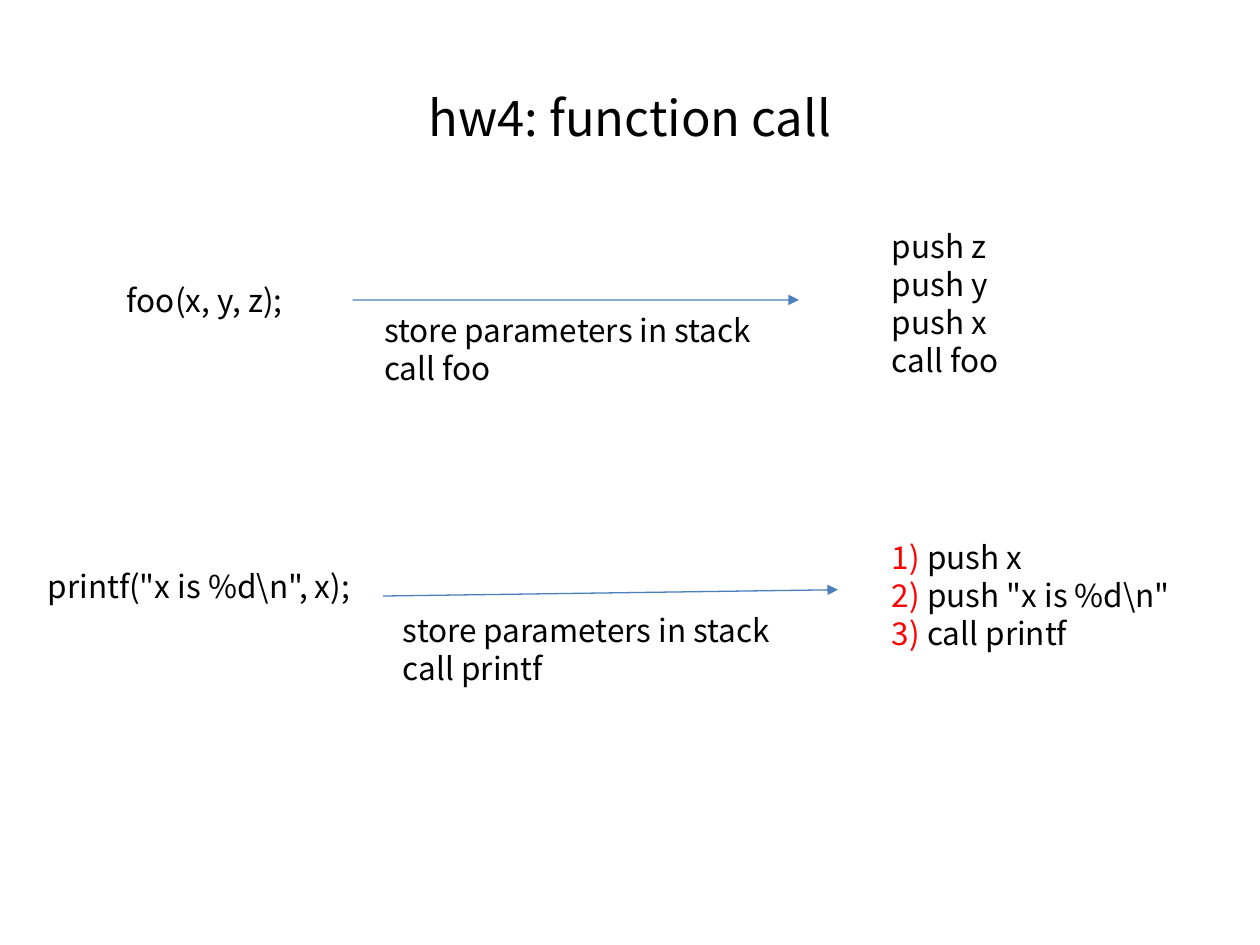
"""Build a slide that shows how function calls become stack pushes."""
from dataclasses import dataclass

from lxml.etree import SubElement
from pptx import Presentation
from pptx.dml.color import RGBColor
from pptx.enum.shapes import MSO_CONNECTOR
from pptx.enum.text import MSO_ANCHOR, PP_ALIGN
from pptx.oxml.ns import qn
from pptx.util import Pt


@dataclass(frozen=True)
class Theme:
    font: str = "Noto Sans CJK KR"
    title_size: int = 28
    body_size: int = 18
    line_pitch: float = 21.7
    text: RGBColor = RGBColor(0, 0, 0)
    number: RGBColor = RGBColor(255, 0, 0)
    arrow: RGBColor = RGBColor(0x4B, 0x7E, 0xBC)


theme = Theme()


def style(span, size, color):
    span.font.name = theme.font
    span.font.size = Pt(size)
    span.font.color.rgb = color


def add_lines(page, left, top, width, lines, numbered=False):
    height = 7.2 + theme.line_pitch * len(lines)
    box = page.shapes.add_textbox(Pt(left), Pt(top), Pt(width), Pt(height))
    frame = box.text_frame
    frame.word_wrap = True
    frame.text = "\n".join("" if numbered else line for line in lines)
    for number, (para, line) in enumerate(zip(frame.paragraphs, lines), 1):
        para.line_spacing = Pt(theme.line_pitch)
        if numbered:
            para.add_run().text = f"{number})"
            para.add_run().text = f" {line}"
        for span in para.runs:
            style(span, theme.body_size, theme.text)
        if numbered:
            para.runs[0].font.color.rgb = theme.number
    return box


deck = Presentation()
deck.slide_width, deck.slide_height = Pt(720), Pt(540)
page = deck.slides.add_slide(deck.slide_layouts[5])

title = page.shapes.title
title.left, title.top, title.width, title.height = Pt(36), Pt(21.6), Pt(648), Pt(90)
title.text_frame.text = "hw4: function call"
title.text_frame.vertical_anchor = MSO_ANCHOR.MIDDLE
heading = title.text_frame.paragraphs[0]
heading.alignment = PP_ALIGN.CENTER
style(heading.runs[0], theme.title_size, theme.text)

calls = [
    ("foo(x, y, z);", (65.5, 157, 136)),
    ('printf("x is %d\\n", x);', (20.2, 320.4, 203.8)),
]
call_boxes = [add_lines(page, *place, [call]) for call, place in calls]

steps = [
    ("foo", (212.4, 174.2)),
    ("printf", (223.2, 345.6)),
]
for name, (left, top) in steps:
    add_lines(page, left, top, 244, ["store parameters in stack", f"call {name}"])

add_lines(page, 502.6, 126, 181.4, ["push z", "push y", "push x", "call foo"])
add_lines(page, 502.6, 303.8, 181.4,
          ["push x", 'push "x is %d\\n"', "call printf"], numbered=True)

arrows = [
    (201.5, 171.4, 456.5, 171.4, call_boxes[0]),
    (218.9, 340.6, 478.8, 337, None),
]
for *ends, source in arrows:
    arrow = page.shapes.add_connector(MSO_CONNECTOR.STRAIGHT, *map(Pt, ends))
    if source is not None:
        arrow.begin_connect(source, 3)
    arrow.line.color.rgb = theme.arrow
    arrow.line.width = Pt(0.75)
    SubElement(arrow.line._get_or_add_ln(), qn("a:tailEnd"), type="triangle")
    SubElement(arrow._element.spPr, qn("a:effectLst"))

deck.save("out.pptx")
